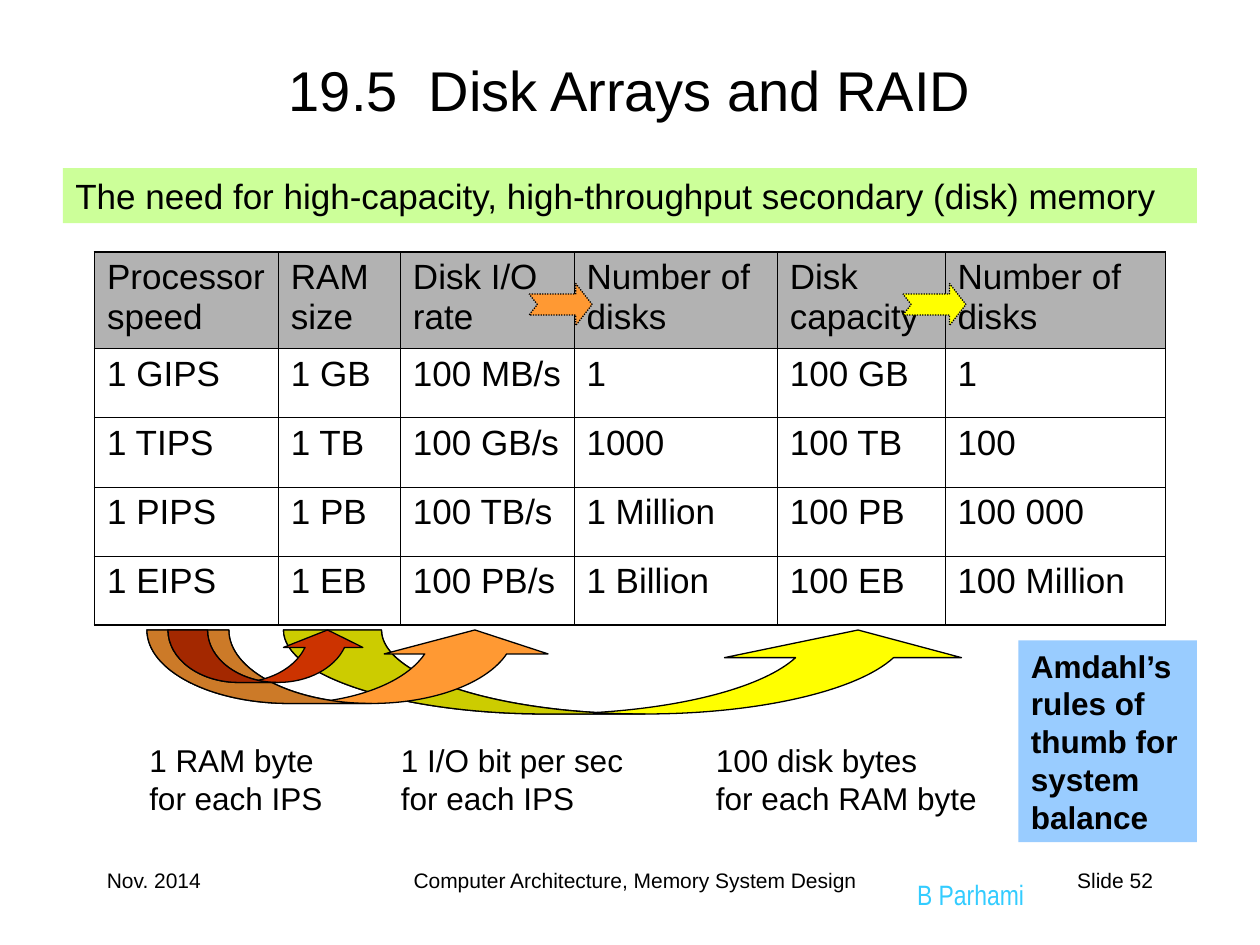
import copy
import math

import pptx
import pptx.dml.color
import pptx.enum.dml
import pptx.enum.shapes
import pptx.enum.text
import pptx.oxml
import pptx.oxml.ns
import pptx.util

Pt = pptx.util.Pt
RGB = pptx.dml.color.RGBColor.from_string
ALIGN = pptx.enum.text.PP_ALIGN
ANCHOR = pptx.enum.text.MSO_ANCHOR
FIT = pptx.enum.text.MSO_AUTO_SIZE
SHAPE = pptx.enum.shapes.MSO_SHAPE

THEME = {
    "font": "Arial", "narrow": "Arial Narrow",
    "ink": "000000", "author": "33CCFF", "header": "B2B2B2",
    "banner": "CCFF99", "rules": "99CCFF",
    "yellow": "FFFF00", "orange": "FF9933", "red": "CC3300",
    "title": 32, "body": 20, "label": 18, "credit": 16, "footer": 12,
}


def put_text(frame, text, size="body", color="ink", font="font", bold=False,
             align=ALIGN.LEFT, anchor=ANCHOR.TOP, wrap=True, fit=None, before=0):
    frame.word_wrap = wrap
    frame.vertical_anchor = anchor
    if fit is not None:
        frame.auto_size = fit
    frame.text = text
    for paragraph in frame.paragraphs:
        paragraph.alignment = align
        paragraph.space_before = Pt(before)
        paragraph.font.name = THEME[font]
        paragraph.font.size = Pt(THEME[size])
        paragraph.font.bold = bold
        paragraph.font.color.rgb = RGB(THEME[color])


def arc(center, top, radius, depth, start, end):
    """Two control points and the end of one Bezier curve along an ellipse."""
    pull = 4 / 3 * math.tan((end - start) / 4)
    return [(center + radius * (math.cos(angle) - reach * math.sin(angle)),
             top + depth * (math.sin(angle) + reach * math.cos(angle)))
            for angle, reach in [(start, pull), (end, -pull), (end, 0)]]


presentation = pptx.Presentation()
presentation.slide_width, presentation.slide_height = Pt(720), Pt(540)
slide = presentation.slides.add_slide(presentation.slide_layouts[5])
shapes = slide.shapes

# Title
title = shapes.title
title.left, title.top, title.width, title.height = Pt(54), Pt(24), Pt(612), Pt(54)
put_text(title.text_frame, "19.5  Disk Arrays and RAID", size="title",
         align=ALIGN.CENTER, anchor=ANCHOR.MIDDLE, fit=FIT.NONE)

# Footer and labels under the arrows
label = dict(size="label", wrap=False, fit=FIT.SHAPE_TO_FIT_TEXT)
for text, left, top, width, height, style in [
    ("B Parhami", 517, 498, 78, 30,
     dict(size="credit", color="author", font="narrow", wrap=False)),
    ("Nov. 2014", 54, 492, 150, 36, dict(size="footer")),
    ("Computer Architecture, Memory System Design", 174, 492, 378, 36,
     dict(size="footer", align=ALIGN.CENTER)),
    ("Slide 52", 516, 492, 150, 36, dict(size="footer", align=ALIGN.RIGHT)),
    ("1 RAM byte\nfor each IPS", 78.2, 420, 113.4, 50.4, label),
    ("1 I/O bit per sec\nfor each IPS", 222, 420, 141.4, 50.4, label),
    ("100 disk bytes\nfor each RAM byte", 402, 420, 163.4, 50.4, label),
]:
    box = shapes.add_textbox(Pt(left), Pt(top), Pt(width), Pt(height))
    put_text(box.text_frame, text, **style)

# Coloured text panels
for text, fill, left, top, width, height, style in [
    ("The need for high-capacity, high-throughput secondary (disk) memory",
     "banner", 36, 96, 648, 31.5, dict()),
    ("Amdahl’s rules of thumb for system balance",
     "rules", 582, 366, 102, 115.2, dict(size="label", bold=True)),
]:
    panel = shapes.add_shape(SHAPE.RECTANGLE, Pt(left), Pt(top), Pt(width), Pt(height))
    panel.shadow.inherit = False
    panel.fill.solid()
    panel.fill.fore_color.rgb = RGB(THEME[fill])
    panel.line.fill.background()
    put_text(panel.text_frame, text, fit=FIT.SHAPE_TO_FIT_TEXT, **style)

# Table
rows = [
    ["Processor speed", "RAM size", "Disk I/O rate", "Number of disks",
     "Disk capacity", "Number of disks"],
    ["1 GIPS", "1 GB", "100 MB/s", "1", "100 GB", "1"],
    ["1 TIPS", "1 TB", "100 GB/s", "1000", "100 TB", "100"],
    ["1 PIPS", "1 PB", "100 TB/s", "1 Million", "100 PB", "100 000"],
    ["1 EIPS", "1 EB", "100 PB/s", "1 Billion", "100 EB", "100 Million"],
]
column_widths = [105, 69.8, 99.2, 116.2, 95.8, 126]
row_heights = [55.2] + [39.5] * 4
last_row, last_column = len(rows) - 1, len(column_widths) - 1
table = shapes.add_table(len(rows), len(column_widths), Pt(54), Pt(144),
                         Pt(sum(column_widths)), Pt(sum(row_heights))).table
table.first_row = table.horz_banding = False
for column, width in zip(table.columns, column_widths):
    column.width = Pt(width)
for row, height in zip(table.rows, row_heights):
    row.height = Pt(height)
for row_index, row_texts in enumerate(rows):
    for column_index, text in enumerate(row_texts):
        cell = table.cell(row_index, column_index)
        put_text(cell.text_frame, text, before=5)
        borders = {"lnL": column_index == 0, "lnR": column_index == last_column,
                   "lnT": row_index == 0, "lnB": row_index == last_row}
        for tag, outer in borders.items():
            cell._tc.get_or_add_tcPr().append(pptx.oxml.parse_xml(
                f'<a:{tag} {pptx.oxml.ns.nsdecls("a")} w="{Pt(1.08 if outer else 0.45)}">'
                f'<a:solidFill><a:srgbClr val="{THEME["ink"]}"/></a:solidFill></a:{tag}>'))
        if row_index == 0:
            cell.fill.solid()
            cell.fill.fore_color.rgb = RGB(THEME["header"])
        else:
            cell.fill.background()

# Curved arrows: two equal half ellipses, one shifted by the band's thickness
arrows = []
top, half, full = 360, math.pi / 2, math.pi
for color, left, radius, band, depth, head_left, head_right, tip, head_drop in [
    ("yellow", 162, 150.5, 56, 48, 414, 549.4, 490.3, 15.8),
    ("orange", 84, 81.6, 46.8, 42, 219.6, 313.2, 271.4, 13.7),
    ("red", 96, 40.3, 22.6, 30, 162, 207.4, 187.2, 10),
]:
    outer, inner = left + radius, left + radius + band
    head_angle = math.asin(head_drop / depth)
    crossing = math.acos(band / 2 / radius)
    # A part with three points is a curve, a part with one point a line
    start = [arc(outer, top, radius, depth, full, half), [(inner, top + depth)]]
    body = start + [
        arc(inner, top, radius, depth, half, head_angle),
        [(head_right, top + head_drop)], [(tip, top)], [(head_left, top + head_drop)],
        [(outer + radius * math.cos(head_angle), top + head_drop)],
        arc(outer, top, radius, depth, head_angle, crossing),
        arc(inner, top, radius, depth, full - crossing, full),
    ]
    tail = start + [arc(inner, top, radius, depth, half, full)]
    builder = shapes.build_freeform(Pt(left), Pt(top))
    for outline in (body, tail):
        if outline is tail:
            builder.move_to(Pt(left), Pt(top))
        builder.add_line_segments([(Pt(x), Pt(y)) for part in outline for x, y in part])
    arrow = builder.convert_to_shape()
    body_outline = arrow._element.xpath(".//a:pathLst/*")[0]

    # Join the points of each curve
    lines = iter(body_outline.xpath("./a:lnTo"))
    for part in body + tail:
        members = [next(lines) for point in part]
        if len(part) == 3:
            curve = pptx.oxml.parse_xml(f'<a:cubicBezTo {pptx.oxml.ns.nsdecls("a")}/>')
            members[0].addprevious(curve)
            for member in members:
                curve.append(member[0])
                body_outline.remove(member)

    # The tail becomes a second, darker outline of the same shape
    tail_outline = copy.deepcopy(body_outline)
    tail_outline.set("fill", "darkenLess")
    body_outline.addnext(tail_outline)
    split = [part.tag for part in body_outline].index(pptx.oxml.ns.qn("a:close")) + 1
    for part in list(body_outline)[split:]:
        body_outline.remove(part)
    for part in list(tail_outline)[:split]:
        tail_outline.remove(part)
    arrows.append((arrow, color))

# Notched arrows in the table header
for color, left in [("orange", 302.4), ("yellow", 516)]:
    arrow = shapes.add_shape(SHAPE.NOTCHED_RIGHT_ARROW, Pt(left), Pt(162), Pt(36), Pt(24))
    arrow.adjustments[0], arrow.adjustments[1] = 0.5, 0.39
    arrow.line.dash_style = pptx.enum.dml.MSO_LINE.ROUND_DOT
    arrows.append((arrow, color))

# Fill and line of all arrows
for arrow, color in arrows:
    arrow.shadow.inherit = False
    arrow.fill.solid()
    arrow.fill.fore_color.rgb = RGB(THEME[color])
    arrow.line.color.rgb = RGB(THEME["ink"])
    arrow.line.width = Pt(0.75)

presentation.save("out.pptx")
